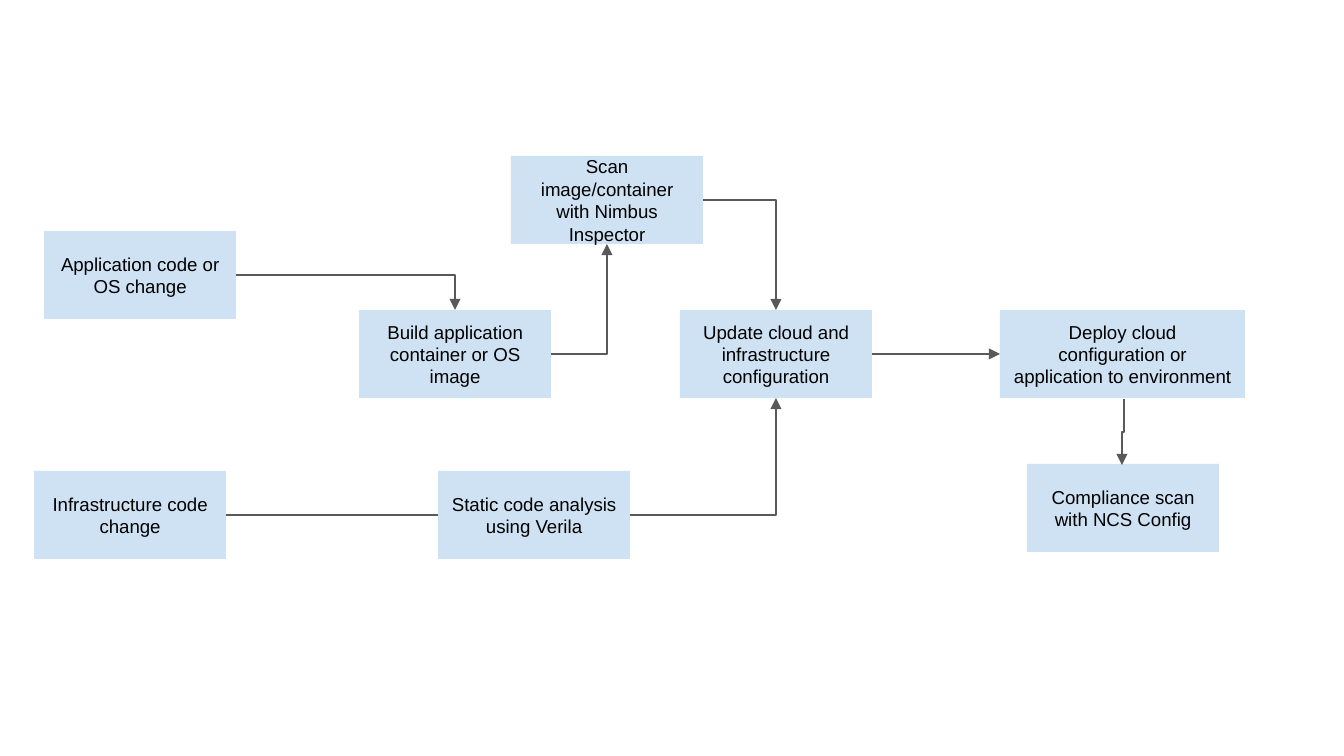
from dataclasses import dataclass

from lxml.etree import SubElement
from pptx import Presentation
from pptx.dml.color import RGBColor
from pptx.enum.shapes import MSO_CONNECTOR, MSO_SHAPE
from pptx.enum.text import MSO_ANCHOR, PP_ALIGN
from pptx.oxml.ns import qn
from pptx.util import Inches, Pt

EMU_PER_PX = 914400 / 134.4
STEP_W, STEP_H = 192, 88
TOP, BOTTOM, LEFT, RIGHT = 0, 2, 1, 3  # connection sites of a rectangle


def px(length):
    return round(length * EMU_PER_PX)


@dataclass(frozen=True)
class Theme:
    step_fill: RGBColor = RGBColor(0xCF, 0xE2, 0xF3)
    ink: RGBColor = RGBColor(0, 0, 0)
    arrow: RGBColor = RGBColor(0x59, 0x59, 0x59)
    font: str = "Arial"
    size: Pt = Pt(10)
    arrow_width: Pt = Pt(0.75)


class FlowSlide:
    def __init__(self, slide, theme):
        self.shapes = slide.shapes
        self.theme = theme

    def step(self, label, left, top, width=STEP_W):
        box = self.shapes.add_shape(
            MSO_SHAPE.RECTANGLE, px(left), px(top), px(width), px(STEP_H))
        box.shadow.inherit = False
        box.fill.solid()
        box.fill.fore_color.rgb = self.theme.step_fill
        box.line.fill.background()
        frame = box.text_frame
        frame.word_wrap = True
        frame.vertical_anchor = MSO_ANCHOR.MIDDLE
        frame.margin_left = frame.margin_right = Inches(0.1)
        frame.margin_top = frame.margin_bottom = Inches(0.1)
        frame.text = label
        paragraph = frame.paragraphs[0]
        paragraph.alignment = PP_ALIGN.CENTER
        font = paragraph.runs[0].font
        font.name, font.size = self.theme.font, self.theme.size
        font.color.rgb = self.theme.ink
        return box

    def elbow(self, left=0, top=0, right=0, bottom=0):
        arrow = self.shapes.add_connector(
            MSO_CONNECTOR.ELBOW, px(left), px(top), px(right), px(bottom))
        arrow.line.color.rgb = self.theme.arrow
        arrow.line.width = self.theme.arrow_width
        SubElement(arrow.line._get_or_add_ln(), qn("a:tailEnd"), type="triangle")
        SubElement(arrow._element.spPr, qn("a:effectLst"))
        return arrow

    def link(self, source, target, entry):
        """Leave the source on its right and enter the target at a given side."""
        arrow = self.elbow()
        arrow.begin_connect(source, RIGHT)
        arrow.end_connect(target, entry)
        if entry != LEFT:  # one corner only
            arrow._element.spPr.prstGeom.set("prst", "bentConnector2")

    def drop(self, start_x, start_y, end_x, end_y):
        """Elbow that runs down, steps aside halfway and runs on down."""
        length, offset = end_y - start_y, start_x - end_x
        left = (start_x + end_x - length) // 2
        top = (start_y + end_y - offset) // 2
        arrow = self.elbow(left, top, left + length, top + offset)
        arrow._element.spPr.find(qn("a:xfrm")).set("rot", "5400000")


def main():
    deck = Presentation()
    deck.slide_width, deck.slide_height = px(1344), px(756)
    flow = FlowSlide(deck.slides.add_slide(deck.slide_layouts[6]), Theme())

    # Main row
    main_y = 310
    build = flow.step("Build application container or OS image", 359, main_y)
    deploy = flow.step(
        "Deploy cloud configuration or application to environment",
        1000, main_y, 245)
    update = flow.step(
        "Update cloud and infrastructure configuration", 680, main_y)

    # Application branch
    app_change = flow.step("Application code or OS change", 44, 231)
    scan = flow.step(
        "Scan image/container with Nimbus Inspector", 511, 156)
    flow.link(app_change, build, TOP)
    flow.link(build, scan, BOTTOM)
    flow.link(scan, update, TOP)

    # Infrastructure branch: the analysis step sits on top of its arrow
    infra_y = 471
    infra_change = flow.step("Infrastructure code change", 34, infra_y)
    flow.link(infra_change, update, BOTTOM)
    flow.step("Static code analysis using Verila", 438, infra_y)

    # Deployment and compliance
    flow.link(update, deploy, LEFT)
    flow.step("Compliance scan with NCS Config", 1027, 464)
    flow.drop(1124, 399, 1122, 465)

    deck.save("out.pptx")


if __name__ == "__main__":
    main()
